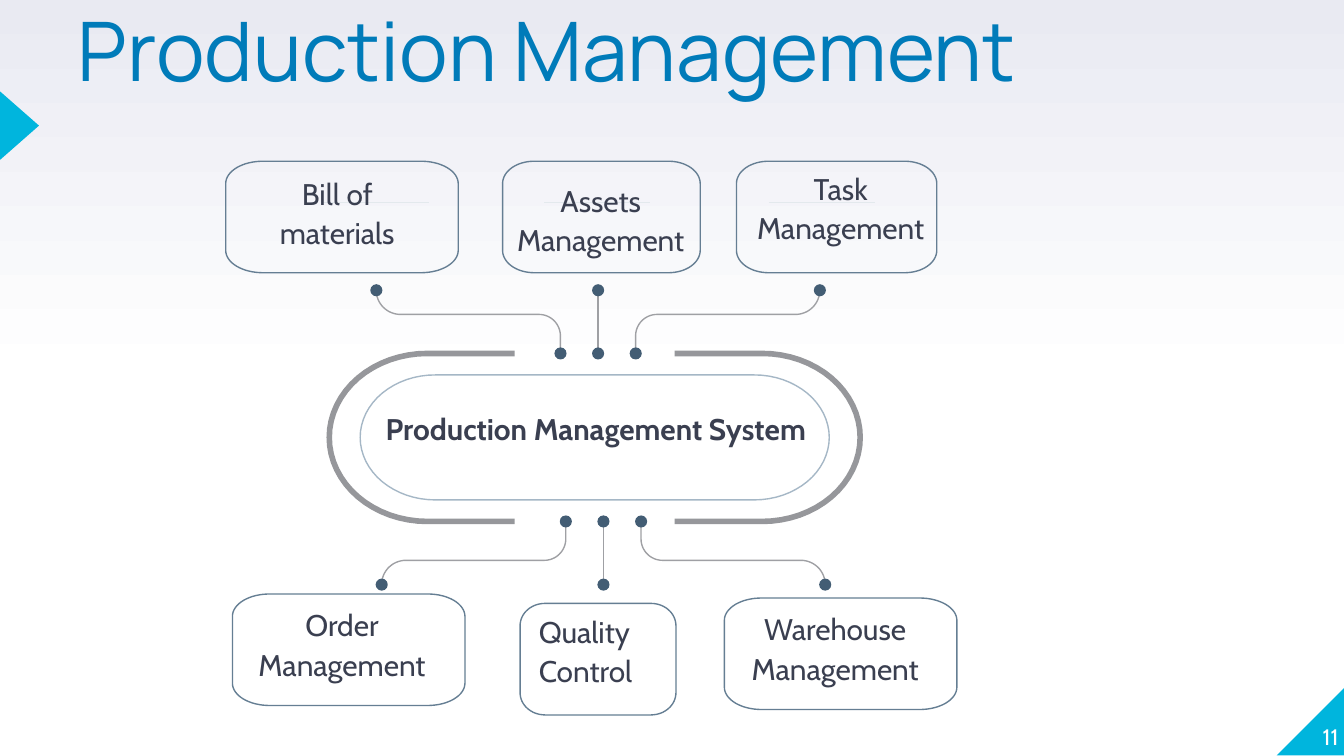
import dataclasses
import math

import lxml.etree
import pptx
import pptx.dml.color
import pptx.enum.shapes
import pptx.enum.text
import pptx.oxml.ns
import pptx.util

Inches = pptx.util.Inches
Pt = pptx.util.Pt
MSO_SHAPE = pptx.enum.shapes.MSO_SHAPE
ALIGN = pptx.enum.text.PP_ALIGN
ANCHOR = pptx.enum.text.MSO_ANCHOR
Point = tuple[float, float]

COLORS = {
    "white": "FFFFFF",
    "lavender": "E9EAF2",
    "accent": "00B5DD",
    "title": "007BB9",
    "text": "3A3F50",
    "box": "657E93",
    "system": "A5B7C6",
    "bracket": "96979B",
    "link": "9FA0A4",
    "dot": "435D74",
    "hairline": "E3E9ED",
}
DOT_SIZE = 0.09
BOX_HEIGHT = 0.83


@dataclasses.dataclass
class Module:
    label: str
    box: tuple[float, float, float]  # left, top, width
    label_area: tuple[float, float, float, float]  # left, top, width, height
    hairline_left: float | None = None
    align: ALIGN = ALIGN.CENTER


@dataclasses.dataclass
class Link:
    outer: Point  # end at the module
    inner: Point  # end at the system


MODULES = [
    Module("Bill of materials", (1.68, 1.2, 1.73), (2.03, 1.28, 0.96, 0.75), 2.4),
    Module("Assets Management", (3.74, 1.2, 1.47), (3.78, 1.33, 1.38, 0.62), 4.05),
    Module("Task Management", (5.48, 1.2, 1.49), (5.62, 1.24, 1.27, 0.75), 5.72),
    Module("Order\nManagement", (1.73, 4.42, 1.73), (1.89, 4.49, 1.31, 0.69)),
    Module("Quality Control", (3.87, 4.49, 1.16), (4.01, 4.54, 0.97, 0.75), align=ALIGN.LEFT),
    Module("Warehouse\nManagement", (5.39, 4.45, 1.73), (5.56, 4.52, 1.31, 0.69)),
]
LINKS = [
    Link((center + side * 1.65, outer_y), (center + side * 0.28, inner_y))
    for center, outer_y, inner_y in ((4.45, 2.16, 2.63), (4.49, 4.35, 3.88))
    for side in (-1, 0, 1)
]


def rgb(name: str) -> pptx.dml.color.RGBColor:
    return pptx.dml.color.RGBColor.from_string(COLORS[name])


def corner(start: Point, vertex: Point, end: Point, steps: int = 16) -> list[Point]:
    """Return a quarter ellipse from start to end that bulges towards vertex."""
    angles = [math.pi / 2 * step / steps for step in range(steps + 1)]
    return [
        tuple(
            s + (v - s) * math.sin(angle) + (e - v) * (1 - math.cos(angle))
            for s, v, e in zip(start, vertex, end)
        )
        for angle in angles
    ]


def add_outline(slide, points: list[Point], color: str, width: float, close: bool = False) -> None:
    emu_points = [(Inches(x), Inches(y)) for x, y in points]
    builder = slide.shapes.build_freeform(*emu_points[0])
    builder.add_line_segments(emu_points[1:], close=close)
    outline = builder.convert_to_shape()
    outline.shadow.inherit = False
    outline.fill.background()
    outline.line.color.rgb = rgb(color)
    outline.line.width = Pt(width)


def add_rounded_box(slide, left: float, top: float, width: float, height: float,
                    color: str, corner_share: float) -> None:
    """Draw a box whose corners take 16% of its width and corner_share of its height."""
    right, bottom = left + width, top + height
    rx, ry = 0.16 * width, corner_share * height
    points = [
        *corner((left, top + ry), (left, top), (left + rx, top)),
        *corner((right - rx, top), (right, top), (right, top + ry)),
        *corner((right, bottom - ry), (right, bottom), (right - rx, bottom)),
        *corner((left + rx, bottom), (left, bottom), (left, bottom - ry)),
    ]
    add_outline(slide, points, color, 0.75, close=True)


def add_bracket(slide, tip_x: float, bend_x: float, side_x: float) -> None:
    top, bottom = 2.63, 3.88
    middle = (top + bottom) / 2
    points = [
        (tip_x, top),
        *corner((bend_x, top), (side_x, top), (side_x, middle)),
        *corner((side_x, middle), (side_x, bottom), (bend_x, bottom)),
        (tip_x, bottom),
    ]
    add_outline(slide, points, "bracket", 3)


def add_straight_line(slide, start: Point, end: Point, color: str, width: float) -> None:
    line = slide.shapes.add_connector(
        pptx.enum.shapes.MSO_CONNECTOR.STRAIGHT, *map(Inches, (*start, *end)))
    line.line.color.rgb = rgb(color)
    line.line.width = Pt(width)
    lxml.etree.SubElement(line.element.spPr, pptx.oxml.ns.qn("a:effectLst"))


def add_preset(slide, preset: MSO_SHAPE, left: float, top: float, width: float,
               height: float, color: str):
    shape = slide.shapes.add_shape(preset, *map(Inches, (left, top, width, height)))
    shape.shadow.inherit = False
    shape.fill.solid()
    shape.fill.fore_color.rgb = rgb(color)
    shape.line.fill.background()
    return shape


def add_link(slide, link: Link) -> None:
    (outer_x, outer_y), (inner_x, inner_y) = link.outer, link.inner
    if outer_x == inner_x:
        add_straight_line(slide, link.outer, link.inner, "link", 0.75)
    else:
        inward = math.copysign(1, inner_x - outer_x)
        toward = math.copysign(1, inner_y - outer_y)
        bend_y = outer_y + toward * 0.18
        points = [
            *corner(link.outer, (outer_x, bend_y), (outer_x + inward * 0.18, bend_y)),
            *corner((inner_x - inward * 0.16, bend_y), (inner_x, bend_y),
                    (inner_x, bend_y + toward * 0.16)),
            link.inner,
        ]
        add_outline(slide, points, "link", 0.75)
    for x, y in (link.outer, link.inner):
        add_preset(slide, MSO_SHAPE.OVAL, x - DOT_SIZE / 2, y - DOT_SIZE / 2,
                   DOT_SIZE, DOT_SIZE, "dot")


def add_text(slide, text: str, area: tuple[float, float, float, float], *, size: float = 16,
             font: str = "Cabin", color: str = "text", bold: bool = False,
             align: ALIGN = ALIGN.LEFT, anchor: ANCHOR = ANCHOR.TOP,
             line_spacing: float = 1.1, space_before: float = 6) -> None:
    frame = slide.shapes.add_textbox(*map(Inches, area)).text_frame
    frame.word_wrap = True
    frame.vertical_anchor = anchor
    frame.margin_left = frame.margin_right = frame.margin_top = frame.margin_bottom = 0
    paragraph = frame.paragraphs[0]
    paragraph.text = text
    paragraph.alignment = align
    paragraph.line_spacing = line_spacing
    paragraph.space_before = Pt(space_before)
    for run in paragraph.runs:
        run.font.name = font
        run.font.size = Pt(size)
        run.font.bold = bold
        run.font.color.rgb = rgb(color)


def add_backdrop(slide) -> None:
    fill = slide.background.fill
    fill.gradient()
    fill.gradient_angle = 90
    for stop, position, color in zip(fill.gradient_stops, (0.5, 1), ("white", "lavender")):
        stop.position = position
        stop.color.rgb = rgb(color)
    page_corner = add_preset(slide, MSO_SHAPE.RIGHT_TRIANGLE, 9.5, 5.11, 0.51, 0.51, "accent")
    page_corner.element.spPr.xfrm.set("flipH", "1")
    title_marker = add_preset(slide, MSO_SHAPE.ISOSCELES_TRIANGLE, -0.11, 0.79, 0.51, 0.29, "accent")
    title_marker.rotation = 90


def main() -> None:
    presentation = pptx.Presentation()
    presentation.slide_width = Inches(10)
    presentation.slide_height = Inches(10 * 9 / 16)
    slide = presentation.slides.add_slide(presentation.slide_layouts[6])

    add_backdrop(slide)
    add_text(slide, "11", (9.46, 5.07, 0.5, 0.51), size=12, color="white", align=ALIGN.RIGHT,
             anchor=ANCHOR.BOTTOM, line_spacing=1, space_before=0)
    add_text(slide, "Production Management", (0.58, 0.14, 8.52, 0.59), size=44, font="Manrope",
             color="title", line_spacing=0.8, space_before=0)

    add_rounded_box(slide, 2.68, 2.79, 3.49, 0.93, "system", 0.5)
    add_bracket(slide, 5.02, 5.67, 6.4)
    add_bracket(slide, 3.83, 3.18, 2.45)
    for link in LINKS:
        add_link(slide, link)
    add_text(slide, "Production Management System", (2.87, 3.03, 3.22, 0.69), bold=True)

    for module in MODULES:
        add_rounded_box(slide, *module.box, BOX_HEIGHT, "box", 0.2)
        if module.hairline_left is not None:
            left = module.hairline_left
            add_straight_line(slide, (left, 1.51), (left + 0.79, 1.51), "hairline", 0.5)
        add_text(slide, module.label, module.label_area, align=module.align)

    presentation.save("out.pptx")


if __name__ == "__main__":
    main()
